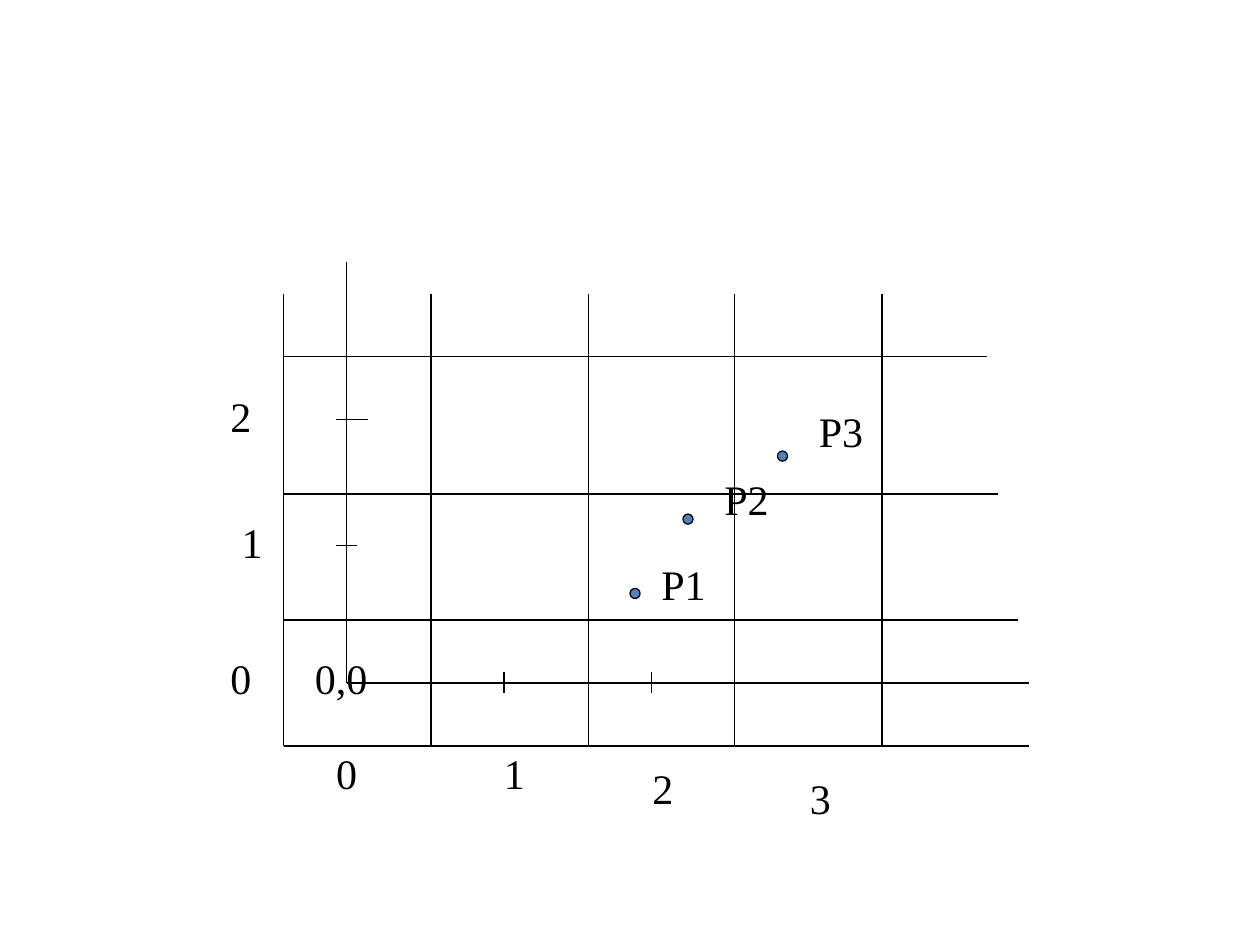
from dataclasses import dataclass
from typing import NamedTuple

from lxml import etree
from pptx import Presentation
from pptx import util as u
from pptx.dml.color import RGBColor
from pptx.enum import shapes, text
from pptx.oxml.ns import qn


@dataclass(frozen=True)
class Theme:
    """Colours, font and sizes of the slide."""
    ink: RGBColor = RGBColor(0, 0, 0)
    dot: RGBColor = RGBColor(0x4F, 0x81, 0xBD)
    face: str = "Times New Roman"
    size: float = 24
    rule: float = 0.75


class Line(NamedTuple):
    """A straight line from one point to another."""
    x1: float
    y1: float
    x2: float
    y2: float


class Label(NamedTuple):
    """A short text with its box."""
    word: str
    left: float
    top: float
    width: float = 0.37


class Dot(NamedTuple):
    """A plotted point, by its upper left corner."""
    left: float
    top: float


THEME = Theme()
LEFT, TOP, BASE = 2.25, 2.33, 5.92
ZERO_X, ZERO_Y, END = 2.75, 5.42, 8.17
DOT, HIGH = 0.08, 0.5

COLS = [Line(x, TOP, x, BASE) for x in (LEFT, 3.42, 4.67, 5.83, 7)]
ROWS = [Line(LEFT, y, end, y)
        for y, end in ((BASE, END), (4.92, 8.08), (3.92, 7.92), (2.83, 7.83))]
AXES = [Line(ZERO_X, 2.08, ZERO_X, ZERO_Y), Line(ZERO_X, ZERO_Y, END, ZERO_Y)]
TICKS = [Line(2.67, 4.33, 2.83, 4.33), Line(2.67, 3.33, 2.92, 3.33),
         *(Line(x, 5.33, x, 5.5) for x in (4, 5.17))]
LABELS = [
    Label("0", 1.73, 5.13), Label("1", 1.82, 4.05), Label("2", 1.73, 3.05),
    Label("0", 2.57, 5.88), Label("1", 3.9, 5.88), Label("2", 5.08, 6),
    Label("3", 6.33, 6.08), Label("0,0", 2.4, 5.13, 0.62),
    Label("P1", 5.15, 4.38, 0.55), Label("P2", 5.65, 3.71, 0.55),
    Label("P3", 6.4, 3.17, 0.55),
]
DOTS = [Dot(5, 4.67), Dot(5.42, 4.08), Dot(6.17, 3.58)]


def style(item: object, values: dict) -> None:
    """Set each named value on the item."""
    for name, value in values.items():
        setattr(item, name, value)


def stroke(line: object) -> None:
    """Give a line the ink colour and rule width."""
    line.fill.solid()
    line.fill.fore_color.rgb = THEME.ink
    line.width = u.Pt(THEME.rule)


def draw_line(slide: object, line: Line) -> None:
    """Draw one straight line without a shadow."""
    item = slide.shapes.add_connector(
        shapes.MSO_CONNECTOR.STRAIGHT, *map(u.Inches, line))
    stroke(item.line)
    etree.SubElement(item.element.spPr, qn("a:effectLst"))


def draw_label(slide: object, label: Label) -> None:
    """Write one label."""
    box = slide.shapes.add_textbox(
        *map(u.Inches, (label.left, label.top, label.width, HIGH)))
    frame = box.text_frame
    style(frame, {"word_wrap": False,
                  "auto_size": text.MSO_AUTO_SIZE.SHAPE_TO_FIT_TEXT})
    run = frame.paragraphs[0].add_run()
    run.text = label.word
    style(run.font, {"name": THEME.face, "size": u.Pt(THEME.size)})
    run.font.color.rgb = THEME.ink


def draw_dot(slide: object, dot: Dot) -> None:
    """Draw one plotted point."""
    item = slide.shapes.add_shape(
        shapes.MSO_SHAPE.OVAL, *map(u.Inches, (*dot, DOT, DOT)))
    item.shadow.inherit = False
    item.fill.solid()
    item.fill.fore_color.rgb = THEME.dot
    stroke(item.line)


def main() -> None:
    """Build and save the slide."""
    deck = Presentation()
    style(deck, {"slide_width": u.Inches(10), "slide_height": u.Inches(7.5)})
    slide = deck.slides.add_slide(deck.slide_layouts[6])
    for draw, items in ((draw_line, COLS + ROWS + AXES + TICKS),
                        (draw_dot, DOTS), (draw_label, LABELS)):
        for item in items:
            draw(slide, item)
    deck.save("out.pptx")


main()
